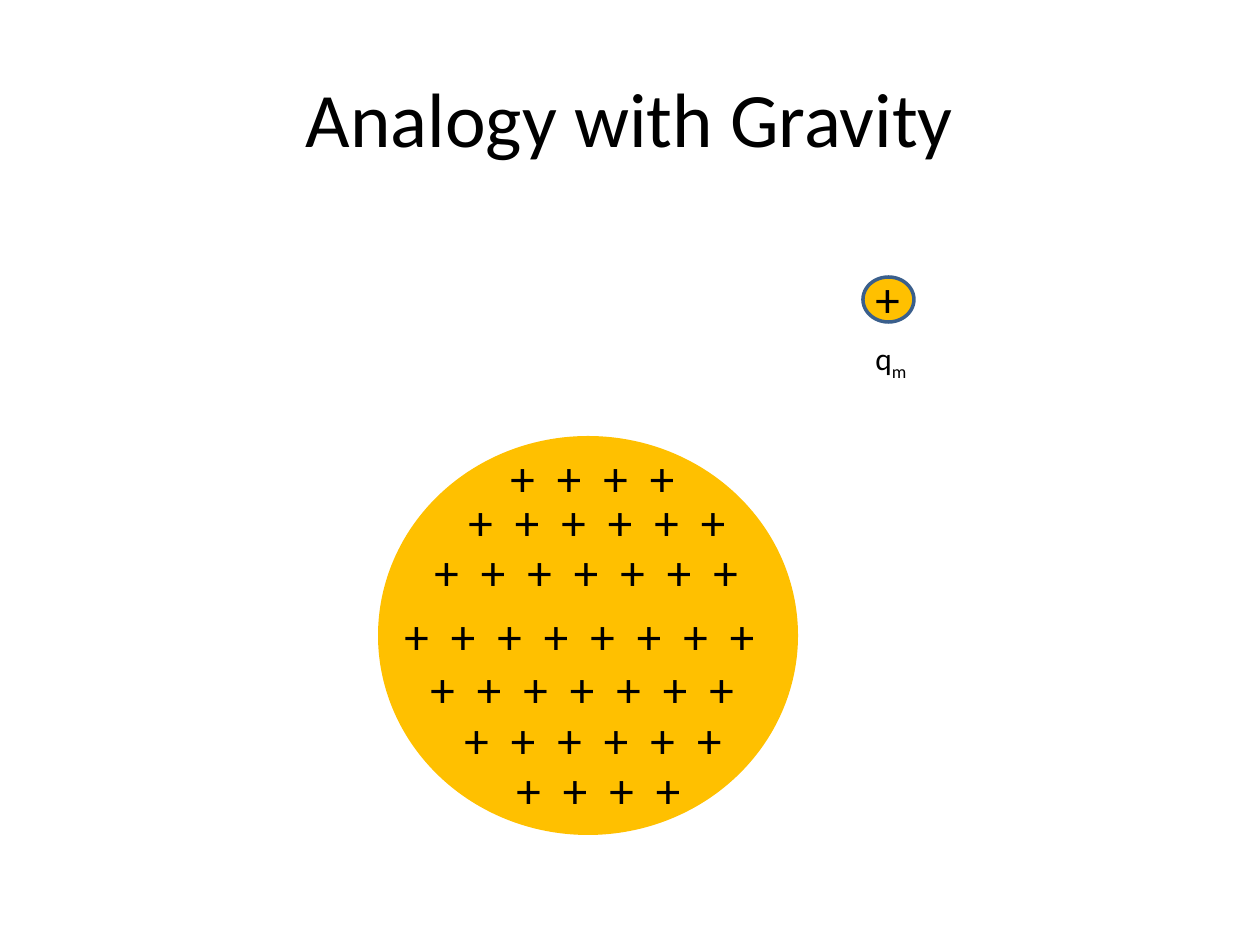
import pptx
import pptx.util
import pptx.dml.color
import pptx.enum.shapes
import pptx.enum.text

HUES = {"ink": "000000", "gold": "FFC000", "rim": "3A5F8C"}
ALIGN = pptx.enum.text.PP_ALIGN
ANCHOR = pptx.enum.text.MSO_ANCHOR


def px(n):
    return pptx.util.Emu(round(n * 914400 / 126))


def hue(name):
    return pptx.dml.color.RGBColor.from_string(HUES[name])


class Sheet:
    """Draws text and discs in one style on the current slide."""

    def __init__(self, slide, face="Calibri"):
        self.slide = slide
        self.face = face

    def text(self, box, words, size, align=ALIGN.LEFT, anchor=ANCHOR.TOP, sub=None):
        frame = self.slide.shapes.add_textbox(*map(px, box)).text_frame
        frame.word_wrap = True
        frame.vertical_anchor = anchor
        para = frame.paragraphs[0]
        para.alignment = align
        para.font.name = self.face
        para.font.size = pptx.util.Pt(size)
        para.font.color.rgb = hue("ink")
        para.add_run().text = words
        if sub:
            run = para.add_run()
            run.text = sub
            run._r.get_or_add_rPr().set("baseline", "-25000")

    def disc(self, box, fill, line=None):
        oval = pptx.enum.shapes.MSO_SHAPE.OVAL
        shape = self.slide.shapes.add_shape(oval, *map(px, box))
        shape.shadow.inherit = False
        shape.fill.solid()
        shape.fill.fore_color.rgb = hue(fill)
        if line:
            shape.line.color.rgb = hue(line)
            shape.line.width = pptx.util.Pt(2)
        else:
            shape.line.fill.background()

    def charges(self, count, left, top, width):
        self.text((left, top, width, 72), "  ".join("+" * count), 28)


def main():
    deck = pptx.Presentation()
    deck.slide_width, deck.slide_height = px(1260), px(945)
    sheet = Sheet(deck.slides.add_slide(deck.slide_layouts[6]))

    sheet.text((63, 38, 1134, 158), "Analogy with Gravity", 44, ALIGN.CENTER, ANCHOR.MIDDLE)

    sheet.disc((378, 436, 420, 399), "gold")
    rows = [
        (4, 498, 441, 223),
        (6, 456, 485, 336),
        (7, 422, 535, 392),
        (8, 392, 599, 381),
        (7, 418, 652, 392),
        (6, 452, 703, 336),
        (4, 504, 753, 223),
    ]
    for row in rows:
        sheet.charges(*row)

    sheet.disc((863, 277, 51, 45), "gold", "rim")
    sheet.charges(1, 863, 262, 51)
    sheet.text((863, 333, 64, 50), "q", 18, sub="m")

    deck.save("out.pptx")


if __name__ == "__main__":
    main()
